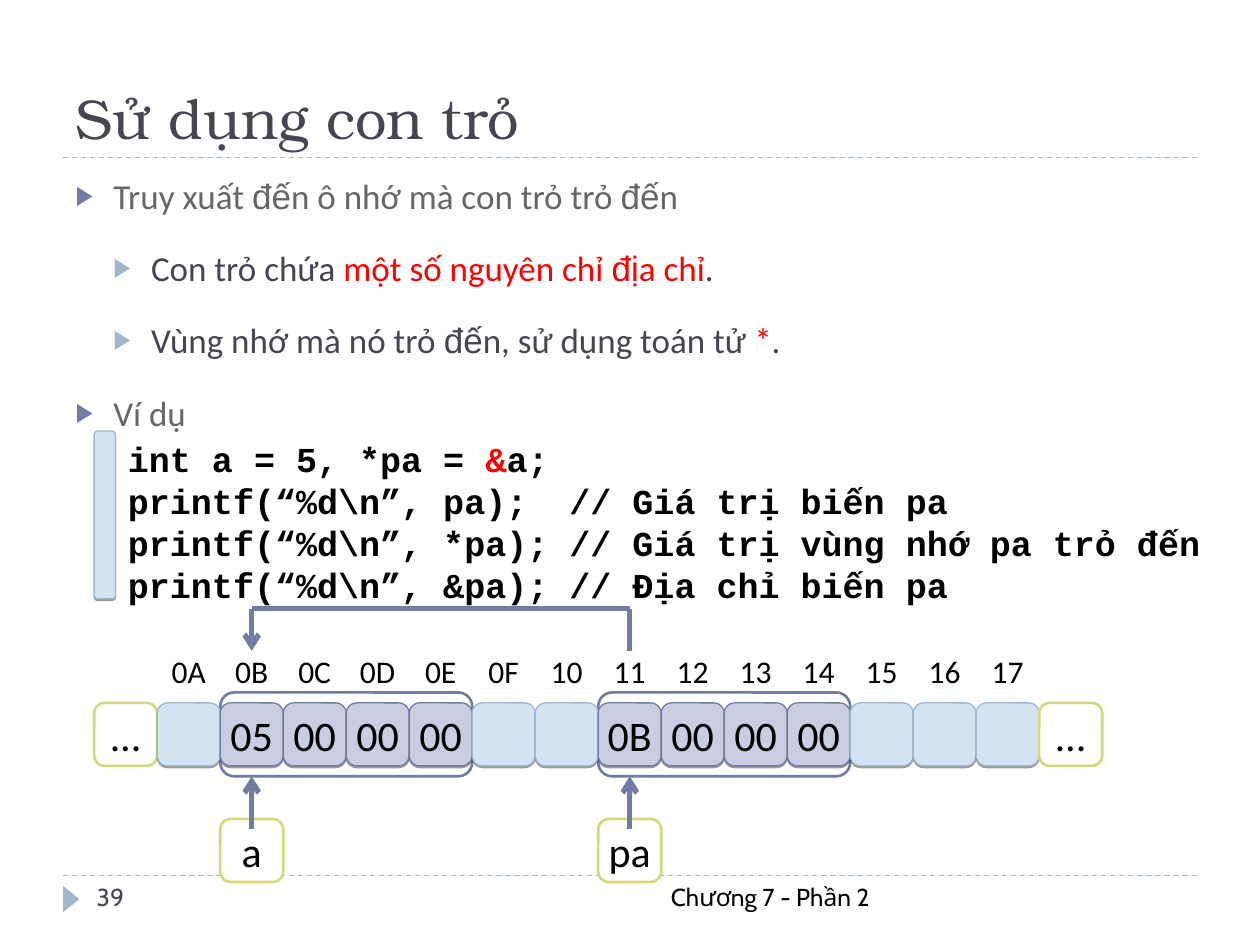
"""Build a slide on using pointers, with code and a memory diagram."""
from lxml import etree
from pptx import Presentation
from pptx import util as u
from pptx.dml.color import RGBColor
from pptx.enum import dml, shapes, text
from pptx.oxml.ns import qn

INK = RGBColor(0x46, 0x46, 0x53)
GRAY = RGBColor(0x66, 0x66, 0x66)
RED = RGBColor(0xFF, 0x00, 0x00)
BLACK = RGBColor(0x00, 0x00, 0x00)
WHITE = RGBColor(0xFF, 0xFF, 0xFF)
NAVY = RGBColor(0x72, 0x7C, 0xA3)
LILAC = RGBColor(0xC9, 0xCD, 0xE2)
BLUE = RGBColor(0x9F, 0xB8, 0xCD)
PALE = RGBColor(0xD3, 0xE3, 0xF2)
LIME = RGBColor(0xD2, 0xDA, 0x7A)

TITLE = "Sử dụng con trỏ"
BODY = [
    (0, [("Truy xuất |đế|n ô nhớ mà con trỏ trỏ |đế|n", GRAY)]),
    (1, [("Con trỏ chứa ", INK), ("một số nguyên chỉ |đị|a chỉ", RED), (".", INK)]),
    (1, [("Vùng nhớ mà nó trỏ |đế|n, sử dụng toán tử ", INK), ("*", RED), (".", INK)]),
    (0, [("Ví dụ", GRAY)]),
]
CODE = [
    [("int a = 5, *pa = ", BLACK), ("&", RED), ("a;", BLACK)],
    [("printf(“%d\\n”, pa);  // Giá trị biến pa", BLACK)],
    [("printf(“%d\\n”, *pa); // Giá trị vùng nhớ pa trỏ đến", BLACK)],
    [("printf(“%d\\n”, &pa); // Địa chỉ biến pa", BLACK)],
]
CELLS = ["…", "", "05", "00", "00", "00", "", "",
         "0B", "00", "00", "00", "", "", "", "…"]
BASE = 0x0A
VARS = {"a": 2, "pa": 8}
SPAN = 4
FOOT = "Chương 7 - Phần 2"
PAGE = "39"

LEFT, SIDE = 1.9, 1.27
ADDR_Y, CELL_Y, NAME_Y = 12.9, 14.17, 16.51
RIM = 0.21
WIRE_Y, DROP = 12.27, 0.85
EDGE = {LIME: (WHITE, 1.5), BLUE: (PALE, 0.75), NAVY: (LILAC, 0.75)}


def style(run, font, size, color, bold=False):
    run.font.name, run.font.size, run.font.bold = font, u.Pt(size), bold
    run.font.color.rgb = color


def write(para, parts, fonts, size, bold=False):
    for words, color in parts:
        for i, piece in enumerate(words.split("|")):
            run = para.add_run()
            run.text = piece
            style(run, fonts[i % 2], size, color, bold)


def place(item, x, y, w, h):
    item.left, item.top, item.width, item.height = map(u.Cm, (x, y, w, h))


def line(slide, x1, y1, x2, y2, color, width, dash=False, arrow=False):
    con = slide.shapes.add_connector(
        shapes.MSO_CONNECTOR.STRAIGHT, *map(u.Cm, (x1, y1, x2, y2)))
    con.line.color.rgb, con.line.width = color, u.Pt(width)
    if dash:
        con.line.dash_style = dml.MSO_LINE.DASH
    prop = con._element.spPr
    if arrow:
        etree.SubElement(prop.find(qn("a:ln")), qn("a:tailEnd"), type="arrow")
    etree.SubElement(prop, qn("a:effectLst"))


def box(slide, x, y, w, h, fill=None, edge=None, width=0.75,
        kind=shapes.MSO_SHAPE.ROUNDED_RECTANGLE):
    item = slide.shapes.add_shape(kind, *map(u.Cm, (x, y, w, h)))
    item.shadow.inherit = False
    if fill is None:
        item.fill.background()
    else:
        item.fill.solid()
        item.fill.fore_color.rgb = fill
    if edge is None:
        item.line.fill.background()
    else:
        item.line.color.rgb, item.line.width = edge, u.Pt(width)
    return item


def shade(item):
    glow = etree.SubElement(item._element.spPr.find(qn("a:effectLst")),
                            qn("a:outerShdw"), dist=str(u.Pt(1)), dir="5400000")
    tone = etree.SubElement(glow, qn("a:srgbClr"), val="000000")
    etree.SubElement(tone, qn("a:alpha"), val="40000")


def label(item, words, size):
    frame = item.text_frame
    frame.word_wrap = False
    frame.vertical_anchor = text.MSO_ANCHOR.MIDDLE
    frame.text = words
    para = frame.paragraphs[0]
    para.alignment = text.PP_ALIGN.CENTER
    style(para.runs[0], "Calibri", size, BLACK)


def tile(slide, x, y, words, edge):
    fill, width = EDGE[edge]
    item = box(slide, x, y, SIDE, SIDE, fill, edge, width)
    if edge != LIME:
        shade(item)
    if words:
        label(item, words, 24)


def note(slide, x, y, w, h):
    frame = slide.shapes.add_textbox(*map(u.Cm, (x, y, w, h))).text_frame
    frame.word_wrap = True
    return frame


def bullet(para, level):
    prop = para._p.get_or_add_pPr()
    prop.set("marL", str(u.Cm(0.76 * (level + 1))))
    prop.set("indent", str(u.Cm(-0.76)))
    tone = etree.SubElement(prop, qn("a:buClr"))
    etree.SubElement(tone, qn("a:srgbClr"), val=str((NAVY, BLUE)[level]))
    etree.SubElement(prop, qn("a:buSzPct"), val="76000")
    etree.SubElement(prop, qn("a:buChar"), char="▶")


def add_text(slide):
    head, body = slide.shapes.title, slide.placeholders[1]
    place(head, 1.27, 0.43, 22.86, 2.74)
    frame = head.text_frame
    frame.text = TITLE
    frame.auto_size = text.MSO_AUTO_SIZE.NONE
    frame.vertical_anchor = text.MSO_ANCHOR.BOTTOM
    frame.paragraphs[0].alignment = text.PP_ALIGN.LEFT
    style(frame.paragraphs[0].runs[0], "TeX Gyre Bonum", 32, INK)

    place(body, 1.27, 2.97, 22.86, 13.34)
    frame = body.text_frame
    frame.auto_size = text.MSO_AUTO_SIZE.NONE
    for i, (level, parts) in enumerate(BODY):
        para = frame.add_paragraph() if i else frame.paragraphs[0]
        bullet(para, level)
        para.level, para.line_spacing = level, 1.5
        para.space_before = u.Pt((6, 5)[level] if i else 0)
        write(para, parts, ("Calibri", "Arial"), 20)

    shade(box(slide, LEFT, 8.69, 0.43, 3.38, PALE, BLUE))
    frame = note(slide, 2.33, 8.69, 23.07, 3.66)
    for i, parts in enumerate(CODE):
        para = frame.add_paragraph() if i else frame.paragraphs[0]
        write(para, parts, ("Courier New",) * 2, 20, True)


def add_memory(slide):
    owned = {start + i for start in VARS.values() for i in range(SPAN)}
    mids = []
    for name, start in VARS.items():
        x = LEFT + start * SIDE
        mid = x + SIDE / 2
        mids.append(mid)
        box(slide, x, CELL_Y - RIM, SPAN * SIDE, SIDE + 2 * RIM, None, NAVY, 1.5)
        tile(slide, x, NAME_Y, name, LIME)
        line(slide, mid, NAME_Y + RIM, mid, CELL_Y + SIDE + RIM, NAVY, 3, arrow=True)
    for i, words in enumerate(CELLS):
        x = LEFT + i * SIDE
        end = i in (0, len(CELLS) - 1)
        tile(slide, x, CELL_Y, words, LIME if end else NAVY if i in owned else BLUE)
        if not end:
            label(box(slide, x, ADDR_Y, SIDE, SIDE), f"{BASE + i - 1:02X}", 18)
    goal, root = mids
    line(slide, root, WIRE_Y + DROP, root, WIRE_Y, NAVY, 3)
    line(slide, root, WIRE_Y, goal, WIRE_Y, NAVY, 3)
    line(slide, goal, WIRE_Y, goal, WIRE_Y + DROP, NAVY, 3, arrow=True)


def add_foot(slide):
    mark = box(slide, 1.17, 17.96, 0.53, 0.33, BLUE,
               kind=shapes.MSO_SHAPE.ISOSCELES_TRIANGLE)
    mark.rotation = 90
    for words, x, w, side, color in (
            (FOOT, 8.05, 9.73, text.PP_ALIGN.RIGHT, BLACK),
            (PAGE, 1.7, 5.51, text.PP_ALIGN.LEFT, INK)):
        frame = note(slide, x, 17.65, w, 1.02)
        frame.text = words
        frame.paragraphs[0].alignment = side
        style(frame.paragraphs[0].runs[0], "Cabin", 14, color)


def main():
    deck = Presentation()
    deck.slide_width, deck.slide_height = u.Cm(25.4), u.Cm(19.05)
    slide = deck.slides.add_slide(deck.slide_layouts[1])
    for y in (3.18, 17.65):
        line(slide, 1.27, y, 24.13, y, BLUE, 0.75, dash=True)
    add_text(slide)
    add_memory(slide)
    add_foot(slide)
    deck.save("out.pptx")


if __name__ == "__main__":
    main()
